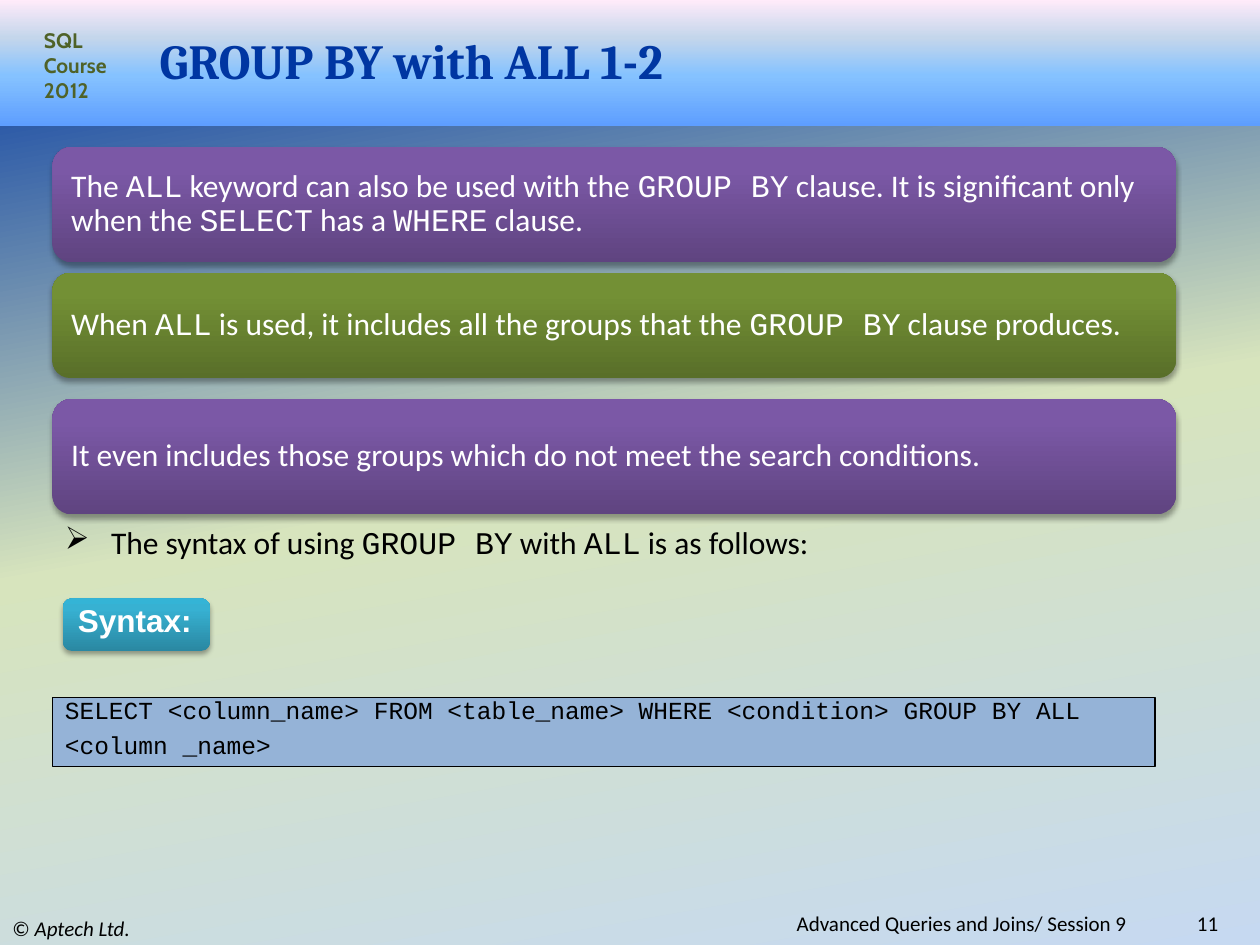
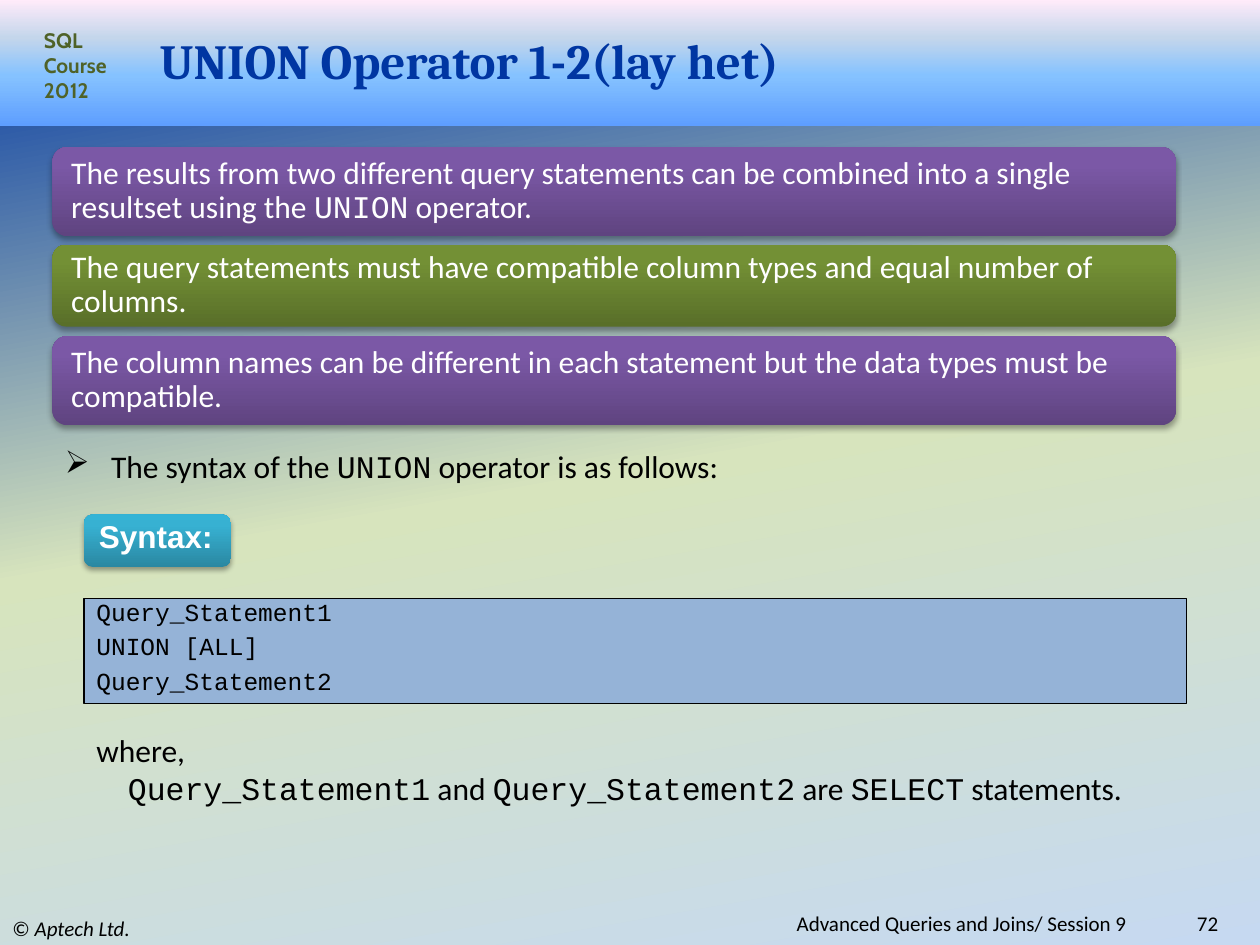
from lxml.etree import SubElement as Sub
from pptx import Presentation
from pptx.dml.color import RGBColor
from pptx.enum.shapes import MSO_SHAPE as Kind
from pptx.enum.text import MSO_ANCHOR as Anchor, MSO_AUTO_SIZE as Fit, PP_ALIGN as Align
from pptx.oxml.ns import qn
from pptx.util import Emu, Pt

SCALE = 7620  # 120 px to the inch
BLACK, WHITE, NAVY = "000000", "FFFFFF", "0036A2"
SKY = [(0, "5E9EFF"), (40, "85C2FF"), (70, "C4D6EB"), (100, "FFEBFA")]
DUSK = [(0, NAVY), (50, "D7E4BD"), (100, "C6D9F1")]
PURPLE = [(0, "5F4480"), (80, "7B58A6"), (100, "7C57A8")]
GREEN = [(0, "596F29"), (80, "739035"), (100, "749334")]
TEAL = [(0, "2A88A2"), (80, "37B1D2"), (100, "34B4D6")]
MONO = {"name": "Courier New"}


def px(n):
    return Emu(round(n * SCALE))


def rgb(code):
    return RGBColor.from_string(code)


def paint(fill, owner, stops, angle=90):
    """Fill with a gradient; the angle runs counterclockwise."""
    fill.gradient()
    fill.gradient_angle = angle
    rows = next(owner.iter(qn("a:gsLst")))
    for old in list(rows):
        rows.remove(old)
    for pos, code in stops:
        stop = Sub(rows, qn("a:gs"), pos=str(pos * 1000))
        Sub(stop, qn("a:srgbClr"), val=code)


def shade(shape):
    """Drop a soft shadow straight below the shape."""
    effects = shape.element.spPr.find(qn("a:effectLst"))
    drop = Sub(effects, qn("a:outerShdw"), blurRad="40000", dist="23000",
               dir="5400000", rotWithShape="0")
    tone = Sub(drop, qn("a:srgbClr"), val=BLACK)
    Sub(tone, qn("a:alpha"), val="35000")


def write(shape, text, size=18, font="Calibri", color=BLACK, bold=False, alt=MONO,
          align=Align.LEFT, anchor=Anchor.TOP, space=None, gap=0, pad=None,
          bullet=None, indent=0):
    """Set text, one paragraph a line; parts between backticks take the alt format.

    The indent applies to bulleted lines and to every line after the first.
    """
    frame = shape.text_frame
    frame.word_wrap, frame.auto_size = True, Fit.NONE
    frame.vertical_anchor = anchor
    if pad is not None:
        frame.margin_left = frame.margin_right = px(pad)
        frame.margin_top = frame.margin_bottom = 0
    for i, line in enumerate(text.split("\n")):
        para = frame.add_paragraph() if i else frame.paragraphs[0]
        para.alignment = align
        if space:
            para.line_spacing = space
        if i and gap:
            para.space_before = Pt(gap)
        props = para._p.get_or_add_pPr()
        if indent and (i or bullet):
            props.set("marL", str(px(indent)))
        if bullet:
            props.set("indent", str(-px(indent)))
            Sub(props, qn("a:buChar"), char=bullet)
        for j, part in enumerate(line.split("`")):
            if not part:
                continue
            run = para.add_run()
            run.text = part
            look = run.font
            look.name, look.size, look.bold = font, Pt(size), bold
            look.color.rgb = rgb(color)
            if j % 2:
                for key, value in alt.items():
                    setattr(look, key, value)


def block(slide, box, kind, stops=None, fill=None, line=None):
    shape = slide.shapes.add_shape(kind, *map(px, box))
    shape.shadow.inherit = False
    if stops:
        paint(shape.fill, shape.element, stops)
    else:
        shape.fill.solid()
        shape.fill.fore_color.rgb = rgb(fill)
    if line:
        shape.line.color.rgb = rgb(line)
        shape.line.width = Pt(0.75)
    else:
        shape.line.fill.background()
    return shape


def label(slide, box, text, **form):
    write(slide.shapes.add_textbox(*map(px, box)), text, **form)


def base(deck, title, number):
    """Add a slide with its background, band, title and footers."""
    slide = deck.slides.add_slide(deck.slide_layouts[5])
    paint(slide.background.fill, slide.element, DUSK, 280)
    band = block(slide, (0, 0, 1200, 120), Kind.RECTANGLE, SKY)
    slide.shapes.element.insert(2, band.element)
    head = slide.shapes.title
    head.left, head.top, head.width, head.height = map(px, (140, 30, 1000, 54))
    write(head, title, size=28, font="Cambria", color=NAVY, bold=True,
          anchor=Anchor.MIDDLE)
    label(slide, (30, 20, 90, 85), "SQL Course 2012", size=12, font="Cabin",
          color="4F6228", bold=True)
    foot = {"size": 12, "anchor": Anchor.MIDDLE}
    label(slide, (0, 868, 400, 32), "© `Aptech Ltd.`", alt={"italic": True}, **foot)
    label(slide, (300, 868, 785, 22), "Advanced Queries and Joins/ Session 9",
          align=Align.RIGHT, **foot)
    label(slide, (1070, 868, 102, 22), str(number), align=Align.RIGHT, **foot)
    return slide


def panels(slide, rows):
    """Stack full-width panels, given as (top, height, text), in turning colours."""
    for i, (top, high, text) in enumerate(rows):
        shape = block(slide, (50, top, 1070, high), Kind.ROUNDED_RECTANGLE,
                      GREEN if i % 2 else PURPLE)
        shade(shape)
        # The rounded corner already insets the text by 5% of the height.
        write(shape, text, color=WHITE, anchor=Anchor.MIDDLE, space=0.9,
              pad=18 - high * 0.05)


def point(slide, top, text):
    label(slide, (50, top, 1100, 48), text, bullet="➢", indent=44)


def syntax(slide, tag, box, code):
    """Place the syntax tag at (left, top) and the code in its box."""
    shape = block(slide, (*tag, 140, 50), Kind.ROUNDED_RECTANGLE, TEAL)
    shade(shape)
    write(shape, "Syntax:", font="Arial", color=WHITE, bold=True,
          anchor=Anchor.MIDDLE, space=0.7)
    shape = block(slide, box, Kind.RECTANGLE, fill="95B3D7", line=BLACK)
    write(shape, code, size=14, font="Courier New", space=0.7, gap=8)


def group(deck):
    slide = base(deck, "GROUP BY with ALL 1-2", 11)
    panels(slide, [
        (140, 110, "The `ALL` keyword can also be used with the `GROUP BY` clause. "
                   "It is significant only when the `SELECT` has a `WHERE` clause."),
        (260, 100, "When `ALL` is used, it includes all the groups that the "
                   "`GROUP BY` clause produces."),
        (380, 110, "It even includes those groups which do not meet the search "
                   "conditions."),
    ])
    point(slide, 492, "The syntax of using `GROUP BY` with `ALL` is as follows:")
    syntax(slide, (60, 570), (50, 664, 1050, 66),
           "SELECT <column_name> FROM <table_name> WHERE <condition> GROUP BY ALL\n"
           "<column _name>")


def union(deck):
    slide = base(deck, "UNION Operator 1-2(lay het)", 72)
    panels(slide, [
        (140, 85, "The results from two different query statements can be combined "
                  "into a single resultset using the `UNION` operator."),
        (233, 78, "The query statements must have compatible column types and equal "
                  "number of columns."),
        (320, 85, "The column names can be different in each statement but the data "
                  "types must be compatible."),
    ])
    point(slide, 420, "The syntax of the `UNION` operator is as follows:")
    syntax(slide, (80, 490), (80, 570, 1050, 100),
           "Query_Statement1\nUNION [ALL]\nQuery_Statement2")
    label(slide, (80, 690, 1110, 85),
          "where,\n`Query_Statement1` and `Query_Statement2` are `SELECT` statements.",
          indent=30)


def main():
    deck = Presentation()
    deck.slide_width, deck.slide_height = px(1200), px(900)
    group(deck)
    union(deck)
    deck.save("out.pptx")


if __name__ == "__main__":
    main()
